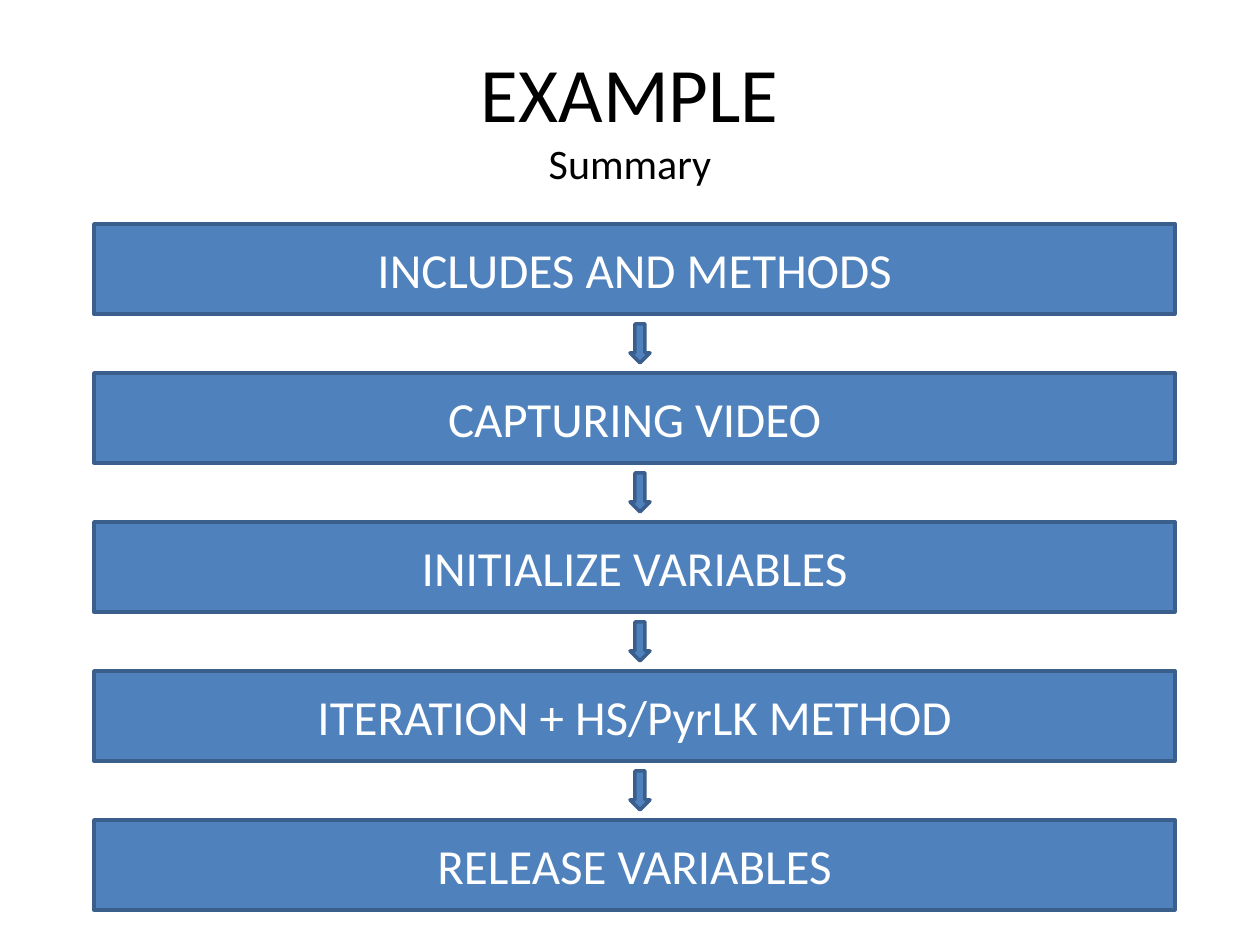
from pptx import Presentation
from pptx import util as u
from pptx.dml.color import RGBColor
from pptx.enum import shapes, text

PX = u.Inches(1) / 126
STEPS = [
    "INCLUDES AND METHODS",
    "CAPTURING VIDEO",
    "INITIALIZE VARIABLES",
    "ITERATION + HS/PyrLK METHOD",
    "RELEASE VARIABLES",
]


def px(n):
    return u.Emu(round(n * PX))


def paint(target, color):
    target.solid()
    target.fore_color.rgb = RGBColor.from_string(color)


def style(par, size, color):
    par.alignment = text.PP_ALIGN.CENTER
    par.font.name = "Calibri"
    par.font.size = u.Pt(size)
    paint(par.font.fill, color)


def add_block(slide, kind, x, y, w, h):
    block = slide.shapes.add_shape(kind, px(x), px(y), px(w), px(h))
    block.shadow.inherit = False
    paint(block.fill, "4F81BD")
    paint(block.line.fill, "3A5F8C")
    block.line.width = u.Pt(2)
    return block


def add_title(slide, x, y, w, h):
    title = slide.shapes.title
    title.left, title.top, title.width, title.height = map(px, (x, y, w, h))
    frame = title.text_frame
    frame.vertical_anchor = text.MSO_ANCHOR.MIDDLE
    par = frame.paragraphs[0]
    style(par, 44, "000000")
    par.add_run().text = "EXAMPLE"
    par.add_line_break()
    run = par.add_run()
    run.text = "Summary"
    run.font.size = u.Pt(24)


def add_flow(slide, x, y, w, h):
    tall = 90
    pitch = (h - tall) / (len(STEPS) - 1)
    for i, step in enumerate(STEPS):
        top = y + i * pitch
        if i:
            add_block(slide, shapes.MSO_SHAPE.DOWN_ARROW,
                      x + 536, top - 49, 20, 39)
        box = add_block(slide, shapes.MSO_SHAPE.RECTANGLE, x, top, w, tall)
        frame = box.text_frame
        frame.vertical_anchor = text.MSO_ANCHOR.MIDDLE
        frame.text = step
        style(frame.paragraphs[0], 28, "FFFFFF")


def main():
    deck = Presentation()
    deck.slide_width, deck.slide_height = px(1260), px(945)
    slide = deck.slides.add_slide(deck.slide_layouts[5])
    add_title(slide, 63, 38, 1134, 157)
    add_flow(slide, 94, 224, 1081, 686)
    deck.save("out.pptx")


if __name__ == "__main__":
    main()
